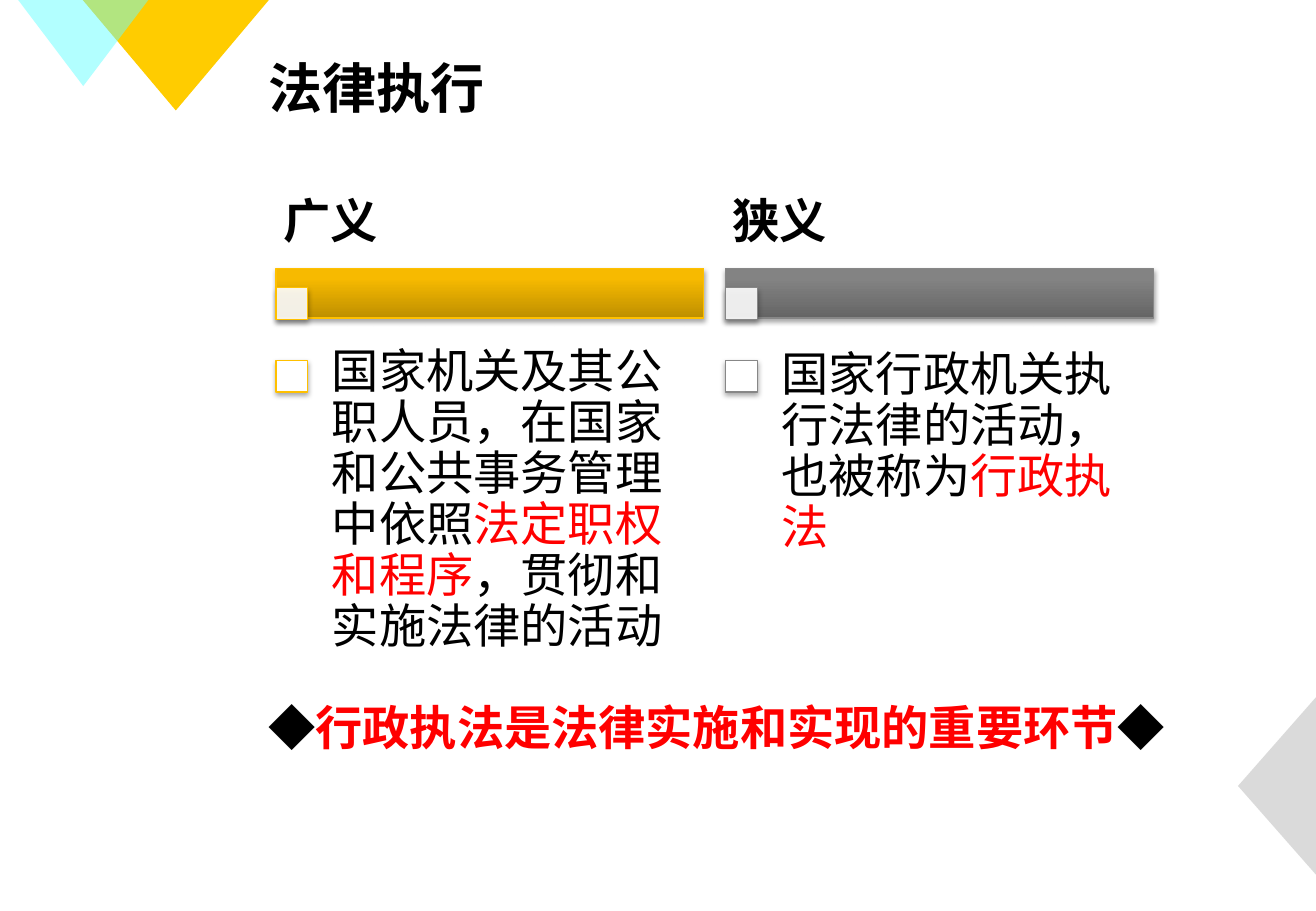
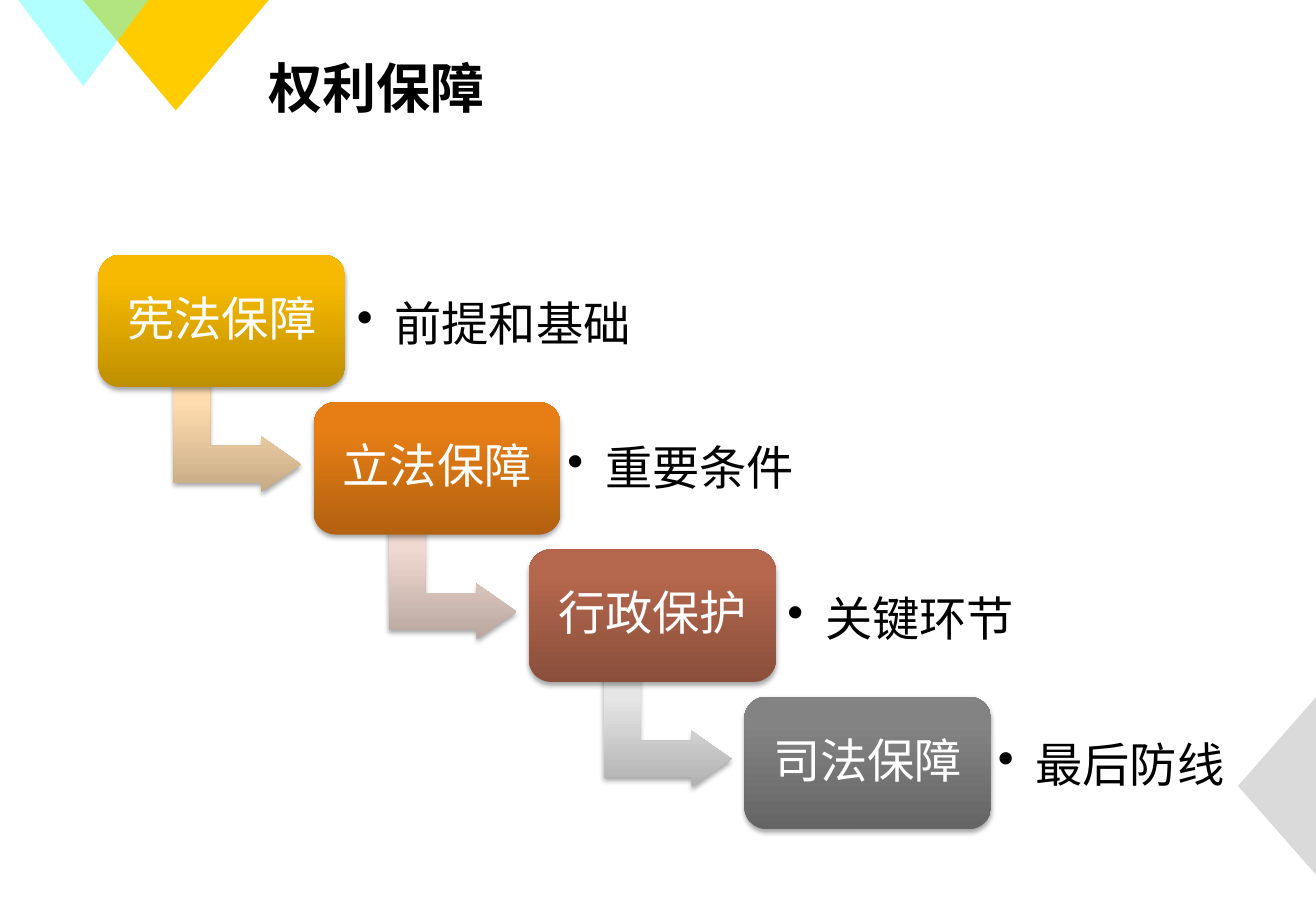
from dataclasses import dataclass

from lxml import etree
from pptx import Presentation
from pptx.dml.color import RGBColor
from pptx.enum import shapes as s, text as t
from pptx.oxml.ns import qn
from pptx.util import Cm, Pt


@dataclass(frozen=True)
class Theme:
    font: str = "Noto Sans CJK SC"
    title_size: int = 32
    text_size: int = 28
    black: str = "000000"
    white: str = "FFFFFF"
    red: str = "FF0000"
    gold: str = "FFC000"
    grey: str = "878787"
    # gradients run from the dark bottom to the light top
    gold_grad: tuple = ("BE8F00", "F7BA00")
    orange_grad: tuple = ("B26110", "E77E15")
    brown_grad: tuple = ("8A4F3B", "B4674D")
    grey_grad: tuple = ("656565", "838383")
    pale_gold_grad: tuple = ("C6AA85", "FFDCAF")
    pale_brown_grad: tuple = ("B8A69F", "EFD8CF")
    pale_grey_grad: tuple = ("B1B1B1", "E6E6E6")


T = Theme()
SHAPE = s.MSO_SHAPE

# Content: left, top, width, height in cm, rotation, colour, opacity in %
TRIANGLES = [
    (1.73, 0, 3.89, 2.31, 180, "FFCC00", 100),
    (0.38, 0, 2.72, 1.8, 180, "66FFFF", 50),
    (24.84, 15.62, 3.71, 1.63, 270, "B7B7B7", 50),
]
EXECUTION_TITLE = "法律执行"
# heading, line colour, gradient, definition, height of the definition
SENSES = [
    ("广义", T.gold, T.gold_grad,
     [("国家机关及其公职人员，在国家和公共事务管理中依照", T.black),
      ("法定职权和程序", T.red),
      ("，贯彻和实施法律的活动", T.black)], 6.73),
    ("狭义", T.grey, T.grey_grad,
     [("国家行政机关执行法律的活动，也被称为", T.black),
      ("行政执法", T.red)], 4.72),
]
CONCLUSION = [("◆", T.black),
              ("行政执法是法律实施和实现的重要环节", T.red, True),
              ("◆", T.black)]
PROTECTION_TITLE = "权利保障"
# step, gradient, gradient of the arrow to the next step,
# note, its offset from the step and its width
STEPS = [
    ("宪法保障", T.gold_grad, T.pale_gold_grad, "前提和基础", 5.1, 0.38, 6.76),
    ("立法保障", T.orange_grad, T.pale_brown_grad, "重要条件", 5, 0.3, 5.41),
    ("行政保护", T.brown_grad, T.pale_grey_grad, "关键环节", 5.1, 0.38, 5.41),
    ("司法保障", T.grey_grad, None, "最后防线", 5, 0.36, 5.41),
]


def rgb(code):
    return RGBColor.from_string(code)


def write(shape, parts, size=T.text_size, bold=False, color=T.black,
          align=t.PP_ALIGN.LEFT, anchor=t.MSO_ANCHOR.MIDDLE,
          insets=(0.25, 0.13), spacing=0.9, bullet=None, indent=0.79):
    """Write one paragraph: a string, or parts of (text, colour, bold)."""
    frame = shape.text_frame
    frame.word_wrap = True
    frame.auto_size = t.MSO_AUTO_SIZE.NONE
    frame.vertical_anchor = anchor
    frame.margin_left = frame.margin_right = Cm(insets[0])
    frame.margin_top = frame.margin_bottom = Cm(insets[1])
    paragraph = frame.paragraphs[0]
    paragraph.alignment = align
    paragraph.line_spacing = spacing
    if bullet:
        properties = shape.element.find(".//" + qn("a:pPr"))
        properties.set("marL", str(Cm(indent)))
        properties.set("indent", str(-Cm(indent)))
        etree.SubElement(properties, qn("a:buChar"), char=bullet)
    if isinstance(parts, str):
        parts = [(parts, color, bold)]
    for words, part_color, *strong in parts:
        run = paragraph.add_run()
        run.text = words
        run.font.size = Pt(size)
        run.font.bold = bool(strong and strong[0])
        run.font.color.rgb = rgb(part_color)
        run.font.name = T.font
    for properties in shape.element.iter(qn("a:rPr")):
        etree.SubElement(properties, qn("a:ea"), typeface=T.font)


def add_text(slide, box, parts, **style):
    write(slide.shapes.add_textbox(*map(Cm, box)), parts, **style)


def add_block(slide, kind, box, fill, line=None, opacity=100, shadow=True,
              rotation=0):
    """Add a shape; fill is a colour or a (bottom, top) pair of colours."""
    block = slide.shapes.add_shape(kind, *map(Cm, box))
    block.rotation = rotation
    if isinstance(fill, tuple):
        block.fill.gradient()
        block.fill.gradient_angle = 90 + rotation
        for stop, code, place in zip(block.fill.gradient_stops, fill, (0, 0.8)):
            stop.color.rgb = rgb(code)
            stop.position = place
    else:
        block.fill.solid()
        block.fill.fore_color.rgb = rgb(fill)
        if opacity < 100:
            etree.SubElement(block.element.find(".//" + qn("a:srgbClr")),
                             qn("a:alpha"), val=str(opacity * 1000))
    if line:
        block.line.color.rgb = rgb(line)
        block.line.width = Pt(0.75)
    else:
        block.line.fill.background()
    block.shadow.inherit = False
    if shadow:
        outer = etree.SubElement(
            block.element.find(".//" + qn("a:effectLst")), qn("a:outerShdw"),
            blurRad=str(Pt(3.1)), dist=str(Pt(1.8)), dir="5400000",
            rotWithShape="0")
        tone = etree.SubElement(outer, qn("a:srgbClr"), val=T.black)
        etree.SubElement(tone, qn("a:alpha"), val="35000")
    return block


def add_slide(deck, heading):
    slide = deck.slides.add_slide(deck.slide_layouts[5])
    title = slide.shapes.title
    title.left, title.top, title.width, title.height = map(
        Cm, (5.36, 0.91, 19.79, 1.8))
    write(title, heading, size=T.title_size, bold=True, spacing=1,
          align=t.PP_ALIGN.JUSTIFY)
    return slide


def decorate_layout(slide):
    """Put the corner triangles on the layout, behind its placeholders."""
    tree = slide.slide_layout.shapes.element
    for index, (*box, rotation, color, opacity) in enumerate(TRIANGLES):
        triangle = add_block(slide, SHAPE.ISOSCELES_TRIANGLE, box, color,
                             opacity=opacity, shadow=False, rotation=rotation)
        tree.insert(2 + index, triangle.element)


def build_execution(slide):
    left, pitch, width, square = 5.77, 9.4, 8.94, 0.66
    for index, (heading, line, grad, definition, height) in enumerate(SENSES):
        x = left + index * pitch
        add_block(slide, SHAPE.RECTANGLE, (x, 5.61, width, 1.04), grad, line)
        for y, opacity in ((6.02, 90), (7.54, 100)):
            add_block(slide, SHAPE.RECTANGLE, (x, y, square, square), T.white,
                      line, opacity)
        add_text(slide, (x, 3.73, width, 1.88), heading, bold=True,
                 insets=(0.15, 0.1))
        add_text(slide, (x + 0.61, 7.11, width, height), definition,
                 insets=(0.56, 0.56))
    add_text(slide, (5.36, 14.6, 19.41, 1.8), CONCLUSION,
             anchor=t.MSO_ANCHOR.TOP)


def build_protection(slide):
    left, top, step_x, step_y = 2.06, 5.33, 4.5, 3.08
    for index, (step, grad, arrow_grad, note, dx, dy, width) in enumerate(STEPS):
        x, y = left + index * step_x, top + index * step_y
        if arrow_grad:
            arrow = add_block(slide, SHAPE.BENT_UP_ARROW,
                              (x + 1.73, y + 2.46, 2.34, 2.67), arrow_grad,
                              rotation=90)
            for number, value in enumerate((0.328, 0.25, 0.358)):
                arrow.adjustments[number] = value
        box = add_block(slide, SHAPE.ROUNDED_RECTANGLE, (x, y, 5.16, 2.77), grad)
        write(box, step, color=T.white, align=t.PP_ALIGN.CENTER,
              insets=(0.2, 0.2))
        add_text(slide, (x + dx, y + dy, width, 2.24), note, bullet="•",
                 insets=(0.3, 0.3))


def main():
    deck = Presentation()
    deck.slide_width, deck.slide_height = Cm(27.51), Cm(19.05)
    execution = add_slide(deck, EXECUTION_TITLE)
    decorate_layout(execution)
    build_execution(execution)
    build_protection(add_slide(deck, PROTECTION_TITLE))
    deck.save("out.pptx")


if __name__ == "__main__":
    main()
